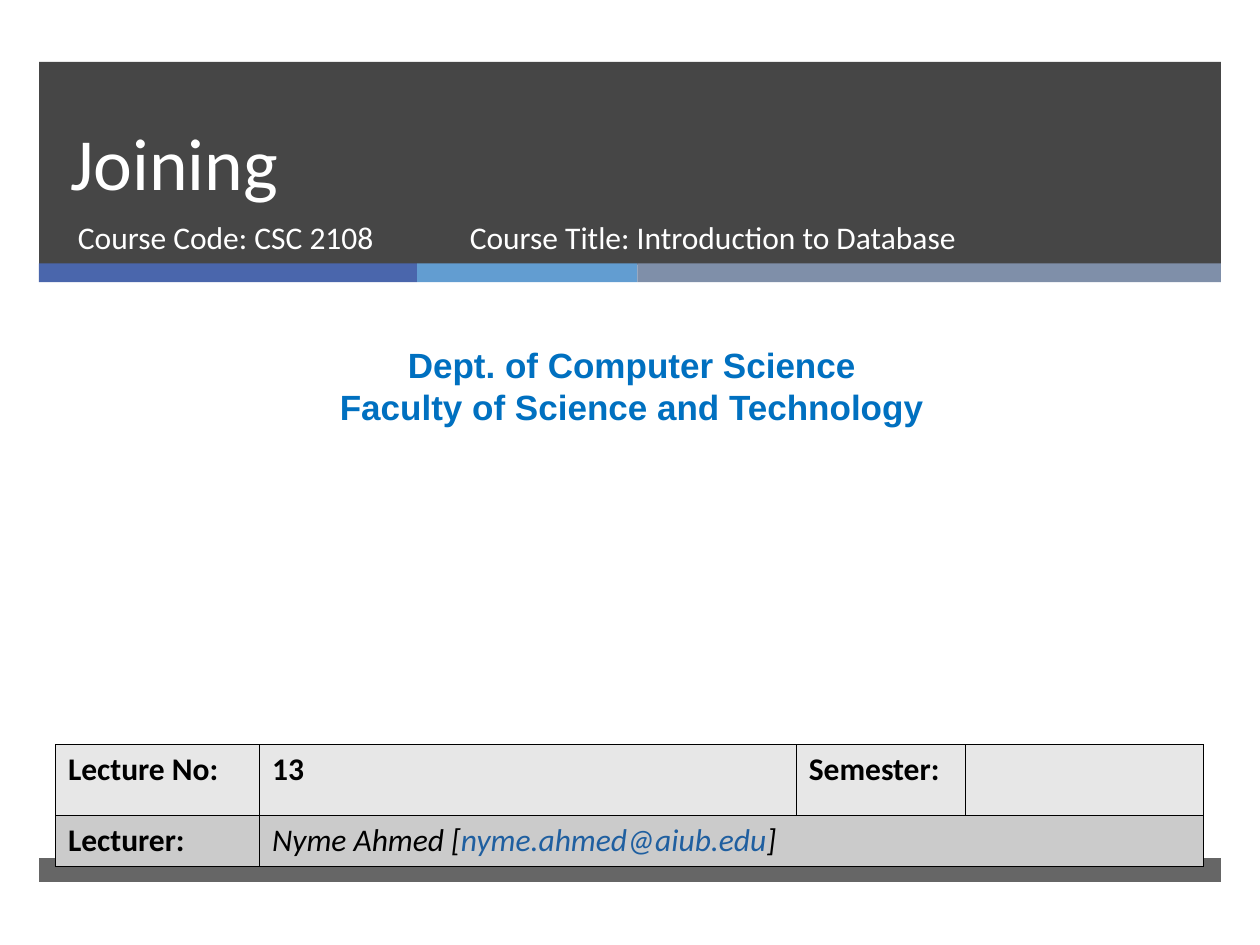
import pptx
import pptx.dml.color
import pptx.enum.shapes
import pptx.enum.text
import pptx.oxml
import pptx.oxml.ns
import pptx.util
from dataclasses import dataclass
from lxml import etree

Inches = pptx.util.Inches
Pt = pptx.util.Pt
ALIGN = pptx.enum.text.PP_ALIGN
ANCHOR = pptx.enum.text.MSO_ANCHOR


@dataclass(frozen=True)
class Theme:
    dark: str = "262626"
    accents: tuple = ("4A66AC", "629DD1", "7F8FA9")
    white: str = "FFFFFF"
    black: str = "000000"
    department: str = "0070C0"
    email: str = "1F5FA0"
    rows: tuple = ("E7E7E7", "CBCBCB")
    body_font: str = "Calibri"
    department_font: str = "Arial"
    title_size: int = 42
    department_size: int = 20
    body_size: int = 18
    border_width: float = 0.45


THEME = Theme()


def rgb(color):
    return pptx.dml.color.RGBColor.from_string(color)


def style(run, color, size=THEME.body_size, font=THEME.body_font,
          bold=False, italic=False):
    run.font.name = font
    run.font.size = Pt(size)
    run.font.color.rgb = rgb(color)
    run.font.bold = bold
    run.font.italic = italic


def add_bar(slide, left, top, width, height, color, opacity=100):
    bar = slide.shapes.add_shape(
        pptx.enum.shapes.MSO_SHAPE.RECTANGLE,
        Inches(left), Inches(top), Inches(width), Inches(height))
    bar.shadow.inherit = False
    bar.fill.solid()
    bar.fill.fore_color.rgb = rgb(color)
    bar.line.fill.background()
    if opacity < 100:
        tint = bar.fill._xPr.find(".//" + pptx.oxml.ns.qn("a:srgbClr"))
        alpha = etree.SubElement(tint, pptx.oxml.ns.qn("a:alpha"))
        alpha.set("val", str(opacity * 1000))


def add_text(slide, left, top, width, height, text, color,
             align=ALIGN.LEFT, anchor=ANCHOR.TOP, spacing=None, **font):
    box = slide.shapes.add_textbox(
        Inches(left), Inches(top), Inches(width), Inches(height))
    frame = box.text_frame
    frame.word_wrap = True
    frame.vertical_anchor = anchor
    frame.text = text
    for paragraph in frame.paragraphs:
        paragraph.alignment = align
        if spacing:
            paragraph.line_spacing = Pt(spacing)
        for run in paragraph.runs:
            style(run, color, **font)


def add_borders(cell):
    properties = cell._tc.get_or_add_tcPr()
    for position, side in enumerate(("lnL", "lnR", "lnT", "lnB")):
        properties.insert(position, pptx.oxml.parse_xml(
            f'<a:{side} {pptx.oxml.ns.nsdecls("a")} w="{Pt(THEME.border_width)}">'
            f'<a:solidFill><a:srgbClr val="{THEME.black}"/></a:solidFill>'
            f'</a:{side}>'))


def add_lecture_table(slide):
    widths, heights = (1.62, 4.26, 1.34, 1.89), (0.56, 0.41)
    table = slide.shapes.add_table(
        len(heights), len(widths), Inches(0.44), Inches(5.91),
        Inches(sum(widths)), Inches(sum(heights))).table
    for column, width in zip(table.columns, widths):
        column.width = Inches(width)
    for row, height, color in zip(table.rows, heights, THEME.rows):
        row.height = Inches(height)
        for cell in row.cells:
            cell.fill.solid()
            cell.fill.fore_color.rgb = rgb(color)
            add_borders(cell)
    table.cell(1, 1).merge(table.cell(1, 3))

    # Bold labels and values
    labels = {(0, 0): "Lecture No:", (0, 1): "13",
              (0, 2): "Semester:", (1, 0): "Lecturer:"}
    for place, label in labels.items():
        cell = table.cell(*place)
        cell.text_frame.text = label
        style(cell.text_frame.paragraphs[0].runs[0], THEME.black, bold=True)

    # Lecturer with e-mail address
    lecturer = table.cell(1, 1).text_frame.paragraphs[0]
    for text, color in (("Nyme Ahmed [", THEME.black),
                        ("nyme.ahmed@aiub.edu", THEME.email),
                        ("]", THEME.black)):
        run = lecturer.add_run()
        run.text = text
        style(run, color, italic=True)


def main():
    deck = pptx.Presentation()
    deck.slide_width, deck.slide_height = Inches(10), Inches(7.5)
    slide = deck.slides.add_slide(deck.slide_layouts[6])

    # Header band, accent strip and footer band
    margin, band_width = 0.31, 9.38
    add_bar(slide, margin, 0.49, band_width, 1.61, THEME.dark, 85)
    left = margin
    for width, color in zip((3, 1.75, 4.63), THEME.accents):
        add_bar(slide, left, 2.09, width, 0.15, color)
        left += width
    add_bar(slide, margin, 6.81, band_width, 0.19, THEME.dark, 70)

    # Title and course details
    add_text(slide, 0.46, 0.49, 8.54, 1.19, "Joining", THEME.white,
             anchor=ANCHOR.BOTTOM, spacing=46, size=THEME.title_size)
    add_text(slide, 0.52, 1.68, 3.05, 0.53, "Course Code: CSC 2108", THEME.white)
    add_text(slide, 3.63, 1.68, 4.55, 0.53,
             "Course Title: Introduction to Database", THEME.white)

    # Department
    add_text(slide, 0.08, 2.68, 9.87, 0.77,
             "Dept. of Computer Science\nFaculty of Science and Technology",
             THEME.department, align=ALIGN.CENTER, bold=True,
             size=THEME.department_size, font=THEME.department_font)

    add_lecture_table(slide)
    deck.save("out.pptx")


if __name__ == "__main__":
    main()
